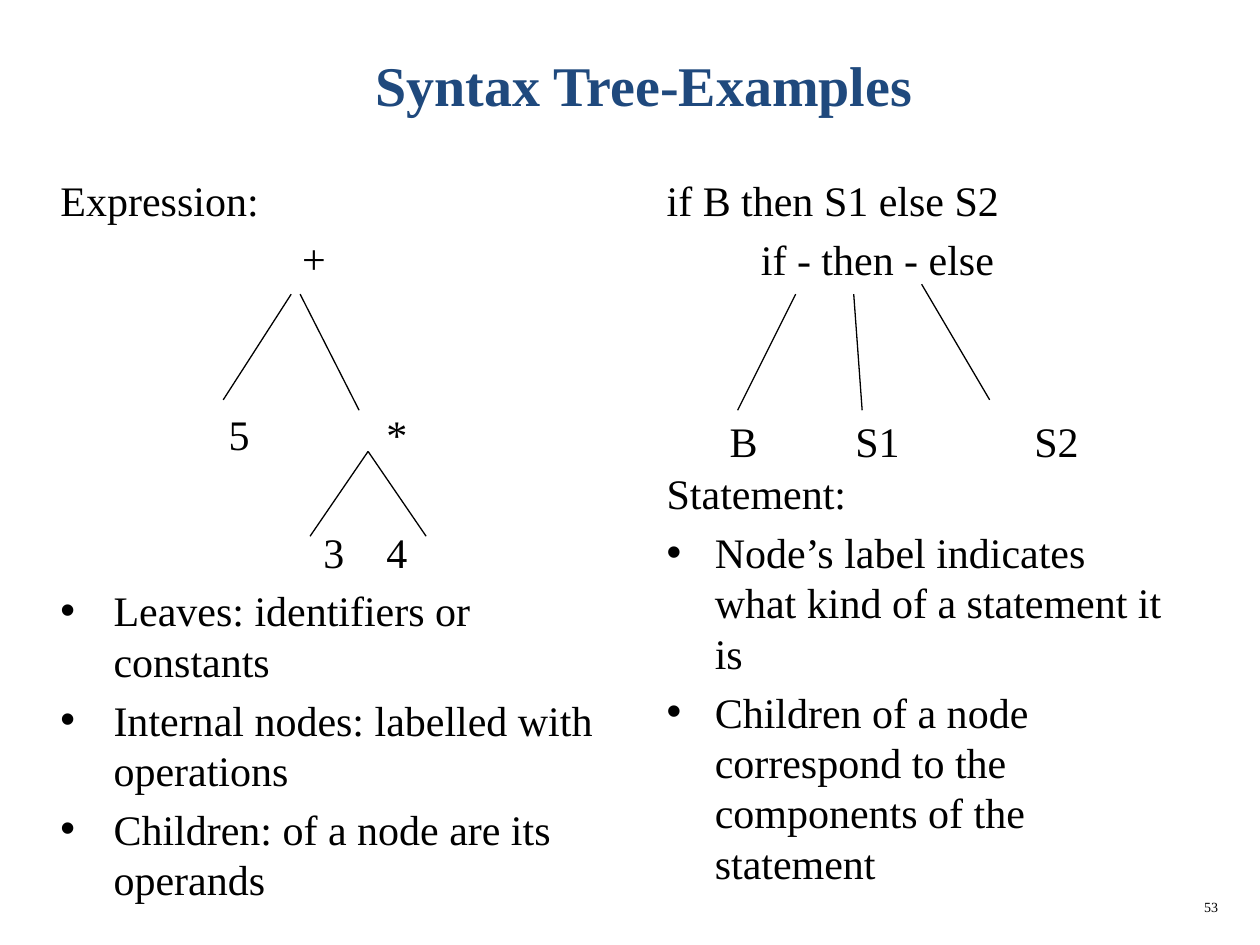
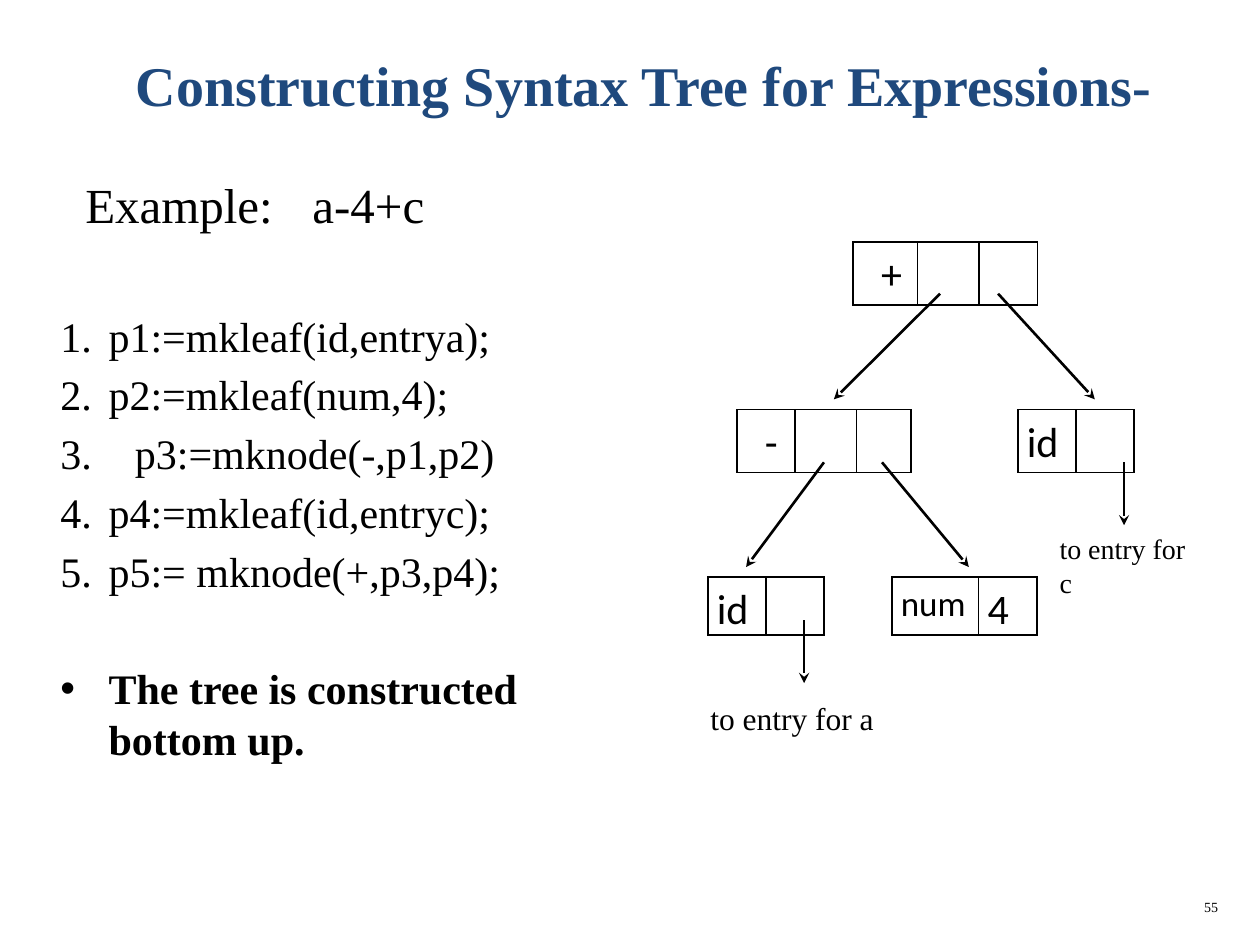
from collections import namedtuple
from dataclasses import dataclass

from lxml import etree
from pptx import Presentation, util as u
from pptx.dml.color import RGBColor
from pptx.enum import shapes, text
from pptx.oxml import ns

Cm, Pt = u.Cm, u.Pt
Box = namedtuple("Box", "left top width height")


@dataclass(frozen=True)
class Theme:
    ink: RGBColor = RGBColor(0x00, 0x00, 0x00)
    paper: RGBColor = RGBColor(0xFF, 0xFF, 0xFF)
    heading: RGBColor = RGBColor(0x1F, 0x49, 0x7D)
    serif: str = "Times New Roman"
    sans: str = "Calibri"
    title: float = 32
    example: float = 28
    body: float = 24
    note: float = 18
    small_note: float = 16
    cell_small: float = 20
    footer: float = 8
    thin: float = 0.75
    thick: float = 1.5
    gap: float = 4.8        # space before a body paragraph
    line: float = 33.5      # one body line with its gap


THEME = Theme()
TITLE = Box(0.97, 0.43, 24.03, 2.54)
LEFT = Box(0.97, 3.39, 11.81, 14.17)
RIGHT = Box(13.19, 3.39, 10.67, 14.07)
DIAGRAM = Box(14.07, 4.88, 10.3, 10.16)
FOOTER = Box(19.53, 17.98, 5.28, 0.64)
NODE_WIDTH, NODE_HEIGHT = 1.2, 1.27


# Shared helpers

def place(box):
    return [Cm(length) for length in box]


def inside(box, left, top, width, height):
    return Box(box.left + left, box.top + top, width, height)


def add_child(parent, tag, **attributes):
    return etree.SubElement(parent, ns.qn(tag), attributes)


def set_font(paragraph, size, color=THEME.ink, name=THEME.serif, bold=False):
    font = paragraph.font
    font.size, font.name, font.bold = Pt(size), name, bold
    font.color.rgb = color


def set_layout(paragraph, margin=0, indent=0, bullet=None, start=None):
    """Indents in cm; bullet is a character, start the first list number."""
    properties = paragraph._p.get_or_add_pPr()
    properties.set("marL", str(Cm(margin)))
    properties.set("indent", str(Cm(indent)))
    if bullet:
        add_child(properties, "a:buFont", typeface="Arial")
        add_child(properties, "a:buChar", char=bullet)
    if start:
        add_child(properties, "a:buAutoNum", type="arabicPeriod", startAt=str(start))


def hanging(margin, **marker):
    return {"margin": margin, "indent": -margin, **marker}


def add_text_box(slide, box):
    frame = slide.shapes.add_textbox(*place(box)).text_frame
    frame.word_wrap = True
    return frame


def add_body(slide, box, items):
    """Each item: text, free lines above, layout, and font settings."""
    frame = add_text_box(slide, box)
    for index, (words, skipped, layout, font) in enumerate(items):
        paragraph = frame.add_paragraph() if index else frame.paragraphs[0]
        paragraph.text = words
        if index:
            paragraph.space_before = Pt(round(THEME.gap + skipped * THEME.line, 1))
        set_layout(paragraph, **layout)
        set_font(paragraph, **{"size": THEME.body, **font})


def add_nodes(slide, box, nodes):
    """Tree labels, each centred on its x, with its top at y."""
    for words, x, y in nodes:
        node = inside(box, x - NODE_WIDTH / 2, y, NODE_WIDTH, NODE_HEIGHT)
        frame = add_text_box(slide, node)
        frame.margin_left = frame.margin_right = 0
        paragraph = frame.paragraphs[0]
        paragraph.text = words
        paragraph.alignment = text.PP_ALIGN.CENTER
        set_font(paragraph, THEME.body)


def add_label(slide, box, words, size):
    shape = slide.shapes.add_shape(shapes.MSO_SHAPE.RECTANGLE, *place(box))
    shape.shadow.inherit = False
    shape.fill.solid()
    shape.fill.fore_color.rgb = THEME.paper
    shape.line.fill.background()
    frame = shape.text_frame
    frame.word_wrap = True
    frame.vertical_anchor = text.MSO_ANCHOR.TOP
    paragraph = frame.paragraphs[0]
    paragraph.text = words
    paragraph.alignment = text.PP_ALIGN.LEFT
    set_font(paragraph, size)


def add_branches(slide, box, branches, width=THEME.thin, arrow=False):
    for x1, y1, x2, y2 in branches:
        connector = slide.shapes.add_connector(
            shapes.MSO_CONNECTOR.STRAIGHT,
            Cm(box.left + x1), Cm(box.top + y1), Cm(box.left + x2), Cm(box.top + y2))
        connector.line.color.rgb = THEME.ink
        connector.line.width = Pt(width)
        if arrow:
            add_child(connector.line._get_or_add_ln(), "a:tailEnd", type="stealth")
        add_child(connector._element.spPr, "a:effectLst")


def add_record(slide, box, cells, widths):
    """One tree node: a one-row table of (text, size, left margin) cells."""
    table = slide.shapes.add_table(1, len(widths), *place(box)).table
    table.first_row = table.horz_banding = False
    for column, width in zip(table.columns, widths):
        column.width = Cm(width)
    for cell, (words, size, margin) in zip(table.rows[0].cells, cells):
        cell.margin_left, cell.margin_right = Cm(margin), Cm(0.18)
        cell.margin_top = cell.margin_bottom = 0
        properties = cell._tc.get_or_add_tcPr()
        for side in ("a:lnL", "a:lnR", "a:lnT", "a:lnB"):
            border = add_child(properties, side, w=str(Pt(1)))
            fill = add_child(border, "a:solidFill")
            add_child(fill, "a:srgbClr", val=str(THEME.ink))
        cell.fill.background()
        if words:
            paragraph = cell.text_frame.paragraphs[0]
            paragraph.text = words
            paragraph.line_spacing = 1.15
            set_font(paragraph, size, name=THEME.sans)


def start_slide(presentation, title, number):
    slide = presentation.slides.add_slide(presentation.slide_layouts[6])
    frame = add_text_box(slide, TITLE)
    frame.vertical_anchor = text.MSO_ANCHOR.MIDDLE
    paragraph = frame.paragraphs[0]
    paragraph.text = title
    paragraph.alignment = text.PP_ALIGN.CENTER
    set_font(paragraph, THEME.title, THEME.heading, bold=True)
    # Slide number
    paragraph = add_text_box(slide, FOOTER).paragraphs[0]
    paragraph.text = str(number)
    paragraph.alignment = text.PP_ALIGN.RIGHT
    set_font(paragraph, THEME.footer)
    return slide


# Regions

def add_expression_column(slide, box):
    bullet = hanging(1.07, bullet="•")
    add_body(slide, box, [
        ("Expression:", 0, {}, {}),
        ("Leaves: identifiers or constants", 6, bullet, {}),
        ("Internal nodes: labelled with operations", 0, bullet, {}),
        ("Children: of a node are its operands", 0, bullet, {}),
    ])
    add_nodes(slide, box, [
        ("+", 5.36, 1.18), ("5", 3.85, 4.73), ("*", 7.03, 4.73),
        ("3", 5.76, 7.09), ("4", 7.03, 7.09),
    ])
    add_branches(slide, box, [
        (4.9, 2.54, 3.53, 4.67), (5.08, 2.54, 6.27, 4.88),
        (6.45, 5.71, 5.28, 7.42), (6.45, 5.71, 7.62, 7.42),
    ])


def add_statement_column(slide, box):
    bullet = hanging(0.97, bullet="•")
    add_body(slide, box, [
        ("if B then S1 else S2", 0, {}, {}),
        ("if - then - else", 0, {"indent": 1.9}, {}),
        ("Statement:", 3, {}, {}),
        ("Node’s label indicates what kind of a statement it is", 0, bullet, {}),
        ("Children of a node correspond to the components of the statement", 0, bullet, {}),
    ])
    add_nodes(slide, box, [("B", 1.8, 4.87), ("S1", 4.5, 4.87), ("S2", 8.11, 4.87)])
    add_branches(slide, box, [
        (2.85, 2.54, 1.68, 4.88), (4.02, 2.54, 4.19, 4.88), (5.39, 2.34, 6.76, 4.67),
    ])


def add_construction_steps(slide, box):
    first, fourth = hanging(0.97, start=1), hanging(0.97, start=4)
    add_body(slide, box, [
        ("Example:\ta-4+c", 0, {"indent": 0.5}, {"size": THEME.example}),
        ("p1:=mkleaf(id,entrya);", 1.17, first, {}),
        ("p2:=mkleaf(num,4);", 0, first, {}),
        ("p3:=mknode(-,p1,p2)", 0, hanging(1.5, start=3), {}),
        ("p4:=mkleaf(id,entryc);", 0, fourth, {}),
        ("p5:= mknode(+,p3,p4);", 0, fourth, {}),
        ("The tree is constructed bottom up.", 1, hanging(0.97, bullet="•"), {"bold": True}),
    ])


def add_record_tree(slide, box):
    empty = ("", THEME.body, 0.18)
    name = ("id", THEME.body, 0.18)
    # Nodes: left, top, height, cells, column widths
    for left, top, height, cells, widths in [
        (3.13, 0, 1.27, [("+", THEME.body, 0.56), empty, empty], [1.3, 1.24, 1.17]),
        (0.79, 3.38, 1.27, [("-", THEME.body, 0.56), empty, empty], [1.17, 1.24, 1.09]),
        (6.45, 3.38, 1.27, [name, empty], [1.17, 1.17]),
        (0.2, 6.75, 1.17, [name, empty], [1.17, 1.17]),
        (3.91, 6.75, 1.17, [("num", THEME.cell_small, 0.18), ("4", THEME.body, 0.18)],
         [1.75, 1.17]),
    ]:
        add_record(slide, inside(box, left, top, sum(widths), height), cells, widths)
    # Links between nodes, then pointers to the symbol table
    add_branches(slide, box, [
        (4.88, 1.04, 2.74, 3.17), (6.05, 1.04, 8, 3.17),
        (2.54, 4.44, 0.97, 6.55), (3.71, 4.44, 5.46, 6.55),
    ], THEME.thick, arrow=True)
    add_branches(slide, box, [
        (8.59, 4.44, 8.59, 5.71), (2.14, 7.62, 2.14, 8.89),
    ], arrow=True)
    add_label(slide, inside(box, 7.04, 5.71, 3.33, 1.07), "to entry for c", THEME.small_note)
    add_label(slide, inside(box, 0, 9.09, 3.91, 1.07), "to entry for a", THEME.note)


def main():
    presentation = Presentation()
    presentation.slide_width, presentation.slide_height = Cm(25.4), Cm(19.05)

    slide = start_slide(presentation, "Syntax Tree-Examples", 53)
    add_expression_column(slide, LEFT)
    add_statement_column(slide, RIGHT)

    slide = start_slide(presentation, "Constructing Syntax Tree for Expressions-", 55)
    add_construction_steps(slide, LEFT)
    add_record_tree(slide, DIAGRAM)

    presentation.save("out.pptx")


if __name__ == "__main__":
    main()
